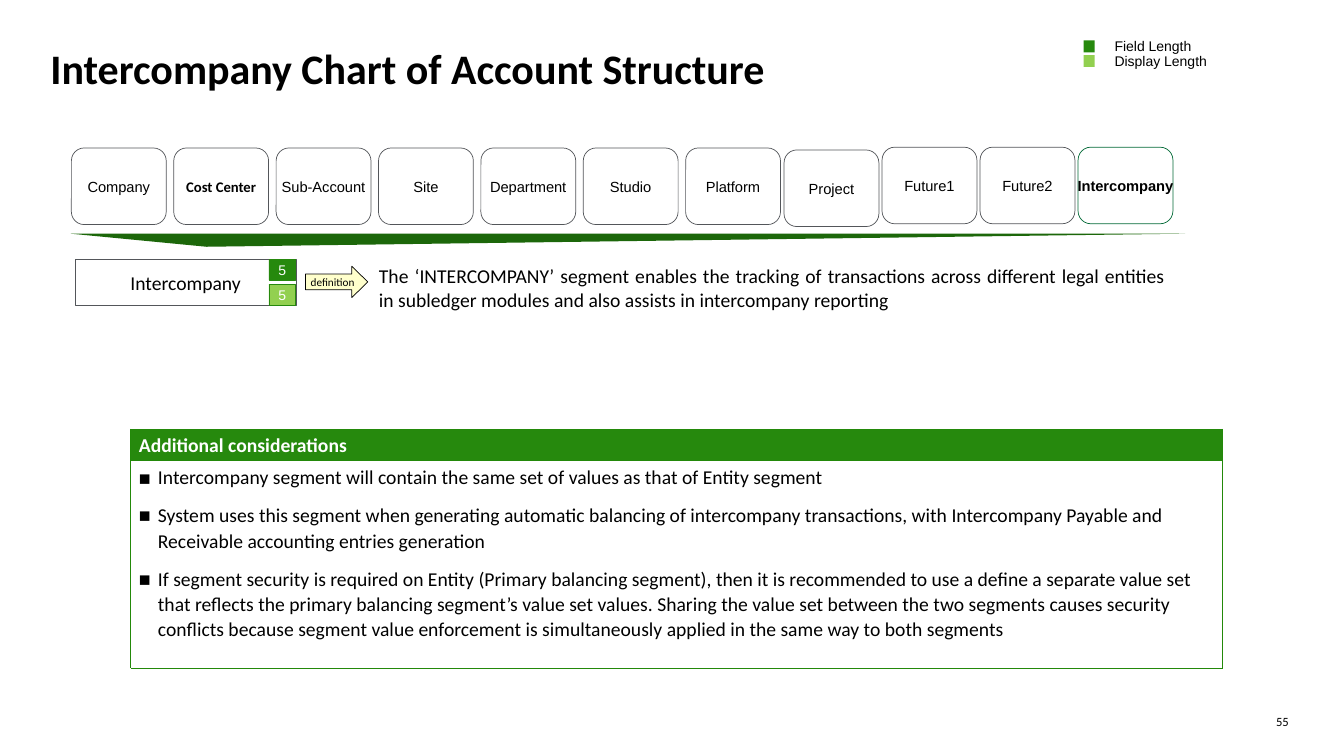
from lxml import etree
from pptx import Presentation
from pptx.dml.color import RGBColor
from pptx.enum.shapes import MSO_SHAPE as SHAPE
from pptx.enum.text import MSO_ANCHOR as ANCHOR, MSO_AUTO_SIZE as AUTO, PP_ALIGN as ALIGN
from pptx.oxml.ns import qn
from pptx.util import Cm, Pt

COLORS = {
    "black": "000000", "white": "FFFFFF", "grey": "53565A", "green": "26890D",
    "light": "92D050", "dark": "1C670A", "border": "23890A", "teal": "046A38",
    "yellow": "FFFFCC",
}


def add_run(paragraph, text, size, font="Calibri", color="black", bold=False):
    run = paragraph.add_run()
    run.text = text
    run.font.size, run.font.name, run.font.bold = Pt(size), font, bold
    run.font.color.rgb = RGBColor.from_string(COLORS[color])


def add_box(kind, left, top, width, height, fill=None, line=None, weight=0.5):
    box = slide.shapes.add_shape(kind, Cm(left), Cm(top), Cm(width), Cm(height))
    box.shadow.inherit = False
    if fill:
        box.fill.solid()
        box.fill.fore_color.rgb = RGBColor.from_string(COLORS[fill])
    else:
        box.fill.background()
    if line:
        box.line.color.rgb = RGBColor.from_string(COLORS[line])
        box.line.width = Pt(weight)
    else:
        box.line.fill.background()
    frame = box.text_frame
    frame.word_wrap = False
    frame.vertical_anchor = ANCHOR.MIDDLE
    frame.paragraphs[0].alignment = ALIGN.CENTER
    return box


prs = Presentation()
prs.slide_width, prs.slide_height = Cm(33.87), Cm(19.05)
slide = prs.slides.add_slide(prs.slide_layouts[5])

# Title
title = slide.shapes.title
title.left, title.top, title.width, title.height = Cm(1.27), Cm(1.02), Cm(31.27), Cm(1.37)
heading = title.text_frame
heading.margin_left = heading.margin_right = heading.margin_top = heading.margin_bottom = 0
heading.auto_size = AUTO.NONE
heading.vertical_anchor = ANCHOR.MIDDLE
heading.paragraphs[0].alignment = ALIGN.LEFT
add_run(heading.paragraphs[0], "Intercompany Chart of Account Structure", 30, bold=True)

# Legend
add_box(SHAPE.RECTANGLE, 27.18, 0.76, 4.88, 0.94, "white", "white", 0.75)
for row, (caption, color) in enumerate([("Field Length", "green"), ("Display Length", "light")]):
    top = 1.02 + row * 0.37
    add_box(SHAPE.RECTANGLE, 27.31, top, 0.28, 0.3, color)
    label = add_box(SHAPE.RECTANGLE, 27.84, top, 4.01, 0.3, "white")
    label.text_frame.margin_top = label.text_frame.margin_bottom = 0
    label.text_frame.paragraphs[0].alignment = ALIGN.LEFT
    label.text_frame.word_wrap = True
    add_run(label.text_frame.paragraphs[0], caption, 10, "Arial")

# Account segments: seven evenly spaced, then four set closer together
segments = [(name, 1.8 + i * 2.58, 3.73) for i, name in enumerate(
    ["Company", "Cost Center", "Sub-Account", "Site", "Department", "Studio", "Platform"])]
segments += [(name, 19.76 + i * 2.47, 3.71 if i else 3.78) for i, name in enumerate(
    ["Project", "Future1", "Future2", "Intercompany"])]
for name, left, top in segments:
    outline = "teal" if name == "Intercompany" else "grey"
    segment = add_box(SHAPE.ROUNDED_RECTANGLE, left, top, 2.39, 1.93, line=outline)
    add_run(segment.text_frame.paragraphs[0], name, 10.5,
            "Calibri" if name == "Cost Center" else "Arial",
            bold=name in ("Cost Center", "Intercompany"))

# Wedge under the segments
wedge = add_box(SHAPE.ISOSCELES_TRIANGLE, 1.78, 5.89, 28.09, 0.33, "dark")
wedge.adjustments[0] = 0.122
wedge._element.spPr.find(qn("a:xfrm")).set("flipV", "1")

# Segment definition
current = add_box(SHAPE.RECTANGLE, 1.9, 6.53, 5.56, 1.17, "white", "grey")
add_run(current.text_frame.paragraphs[0], "Intercompany", 14)
for top, color in [(6.53, "green"), (7.16, "light")]:
    length = add_box(SHAPE.RECTANGLE, 6.78, top, 0.67, 0.53, color, "green")
    add_run(length.text_frame.paragraphs[0], "5", 10, "Arial", "white")
arrow = add_box(SHAPE.RIGHT_ARROW, 7.7, 6.71, 1.57, 0.79, "yellow", "black")
arrow.adjustments[1] = 0.511
add_run(arrow.text_frame.paragraphs[0], "definition", 8)

definition = slide.shapes.add_textbox(Cm(9.3), Cm(6.53), Cm(20.32), Cm(1.45)).text_frame
definition.word_wrap = True
definition.paragraphs[0].alignment = ALIGN.JUSTIFY
add_run(definition.paragraphs[0],
        "The ‘INTERCOMPANY’ segment enables the tracking of transactions across different "
        "legal entities in subledger modules and also assists in intercompany reporting", 14)

# Additional considerations
considerations = slide.shapes.add_table(2, 1, Cm(3.3), Cm(10.82), Cm(27.51), Cm(6.01)).table
considerations.first_row = considerations.horz_banding = False
considerations.rows[0].height, considerations.rows[1].height = Cm(0.79), Cm(5.22)
header, body = considerations.cell(0, 0), considerations.cell(1, 0)
for cell, color in [(header, "green"), (body, "white")]:
    cell.margin_left = cell.margin_right = Cm(0.2)
    cell.margin_top = cell.margin_bottom = Cm(0.1)
    cell.fill.solid()
    cell.fill.fore_color.rgb = RGBColor.from_string(COLORS[color])
    properties = cell._tc.get_or_add_tcPr()
    for position, side in enumerate(["lnL", "lnR", "lnT", "lnB"]):
        border = etree.Element(qn(f"a:{side}"), w=str(Pt(0.75)))
        solid = etree.SubElement(border, qn("a:solidFill"))
        etree.SubElement(solid, qn("a:srgbClr"), val=COLORS["border"])
        properties.insert(position, border)
add_run(header.text_frame.paragraphs[0], "Additional considerations", 14, color="white", bold=True)

points = [
    "Intercompany segment will contain the same set of values as that of Entity segment",
    "System uses this segment when generating automatic balancing of intercompany "
    "transactions, with Intercompany Payable and Receivable accounting entries generation",
    "If segment security is required on Entity (Primary balancing segment), then it is "
    "recommended to use a define a separate value set that reflects the primary balancing "
    "segment’s value set values. Sharing the value set between the two segments causes "
    "security conflicts because segment value enforcement is simultaneously applied in the "
    "same way to both segments",
]
for i, point in enumerate(points):
    paragraph = body.text_frame.add_paragraph() if i else body.text_frame.paragraphs[0]
    layout = paragraph._p.get_or_add_pPr()
    layout.set("marL", str(Cm(0.48)))
    layout.set("indent", str(-Cm(0.48)))
    bullet_color = etree.SubElement(layout, qn("a:buClr"))
    etree.SubElement(bullet_color, qn("a:srgbClr"), val=COLORS["black"])
    etree.SubElement(layout, qn("a:buFont"), typeface="Arial")
    etree.SubElement(layout, qn("a:buChar"), char="■")
    paragraph.line_spacing = 1.06
    paragraph.space_before = Pt(9 if i else 0)
    add_run(paragraph, point, 14)

# Page number
page = slide.shapes.add_textbox(Cm(31.62), Cm(17.98), Cm(0.86), Cm(0.38)).text_frame
page.margin_left = page.margin_right = page.margin_top = page.margin_bottom = 0
page.word_wrap = True
page.vertical_anchor = ANCHOR.BOTTOM
page.paragraphs[0].alignment = ALIGN.RIGHT
add_run(page.paragraphs[0], "55", 9)

prs.save("out.pptx")
